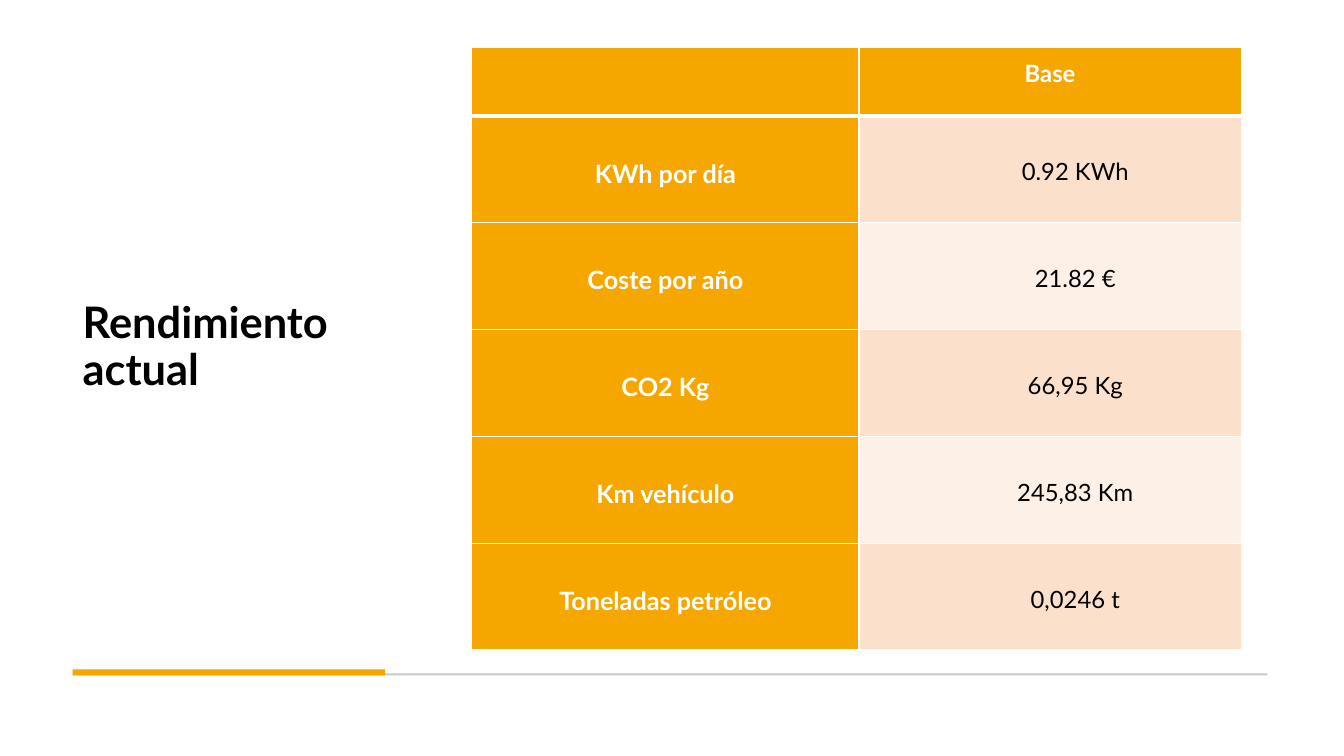
from lxml.etree import SubElement
from pptx import Presentation
from pptx.dml.color import RGBColor
from pptx.enum.shapes import MSO_SHAPE as Shape
from pptx.enum.text import MSO_ANCHOR as Anchor, PP_ALIGN as Align
from pptx.oxml.ns import qn
from pptx.util import Inches, Pt

ORANGE, WHITE, BLACK, GREY = "F5A700", "FFFFFF", "000000", "C9C9C9"
BANDS = ["FBE1CC", "FDF1E7"]


def paint(fill, color):
    fill.solid()
    fill.fore_color.rgb = RGBColor.from_string(color)


def write(frame, text, size, color, bold=False, align=Align.LEFT, spacing=None):
    paragraph = frame.paragraphs[0]
    paragraph.alignment = align
    paragraph.line_spacing = spacing
    run = paragraph.add_run()
    run.text = text
    run.font.name = "Lato"
    run.font.size = Pt(size)
    run.font.bold = bold
    paint(run.font.fill, color)


prs = Presentation()
prs.slide_width, prs.slide_height = Inches(13.33), Inches(7.5)
slide = prs.slides.add_slide(prs.slide_layouts[5])
paint(slide.background.fill, WHITE)

# Title
title = slide.shapes.title
title.left, title.top = Inches(0.72), Inches(0.47)
title.width, title.height = Inches(3.1), Inches(5.97)
title.text_frame.word_wrap = True
title.text_frame.vertical_anchor = Anchor.MIDDLE
write(title.text_frame, "Rendimiento actual", 31, BLACK, bold=True, spacing=0.9)

# Rules at the foot: thin grey line, thick orange accent
for top, width, height, color in [(6.68, 11.85, 0.02, GREY), (6.64, 3.1, 0.06, ORANGE)]:
    rule = slide.shapes.add_shape(
        Shape.RECTANGLE, Inches(0.72), Inches(top), Inches(width), Inches(height))
    rule.shadow.inherit = False
    paint(rule.fill, color)
    rule.line.fill.background()

# Performance table
measures = [
    ("", "Base"),
    ("KWh por día", "0.92 KWh"),
    ("Coste por año", "21.82 €"),
    ("CO2 Kg", "66,95 Kg"),
    ("Km vehículo", "245,83 Km"),
    ("Toneladas petróleo", "0,0246 t"),
]
performance = slide.shapes.add_table(
    len(measures), 2, Inches(4.68), Inches(0.47), Inches(7.63), Inches(5.98)).table
performance.columns[0].width = Inches(3.84)
performance.columns[1].width = Inches(3.79)

for row, measure in enumerate(measures):
    header = row == 0
    performance.rows[row].height = Inches(0.68 if header else 1.06)
    for col, text in enumerate(measure):
        cell = performance.cell(row, col)
        is_value = col == 1 and not header

        # White borders, thicker under the header
        borders = {"L": 1, "R": 1, "T": 3 if row == 1 else 1, "B": 3 if header else 1}
        for side, width in borders.items():
            border = SubElement(cell._tc.get_or_add_tcPr(), qn(f"a:ln{side}"), w=str(Pt(width)))
            SubElement(SubElement(border, qn("a:solidFill")), qn("a:srgbClr"), val=WHITE)
        paint(cell.fill, BANDS[(row - 1) % 2] if is_value else ORANGE)

        # Body text sits one line down; values are indented half an inch
        if text:
            cell.margin_left = Inches(0.74 if is_value else 0.24)
            cell.margin_right = Inches(0.24)
            cell.margin_top = Inches(0.12 if header else 0.41 if is_value else 0.42)
            cell.margin_bottom = Inches(0.12)
            write(cell.text_frame, text, 18 if col == 0 else 17,
                  BLACK if is_value else WHITE, bold=not is_value, align=Align.CENTER)

prs.save("out.pptx")
